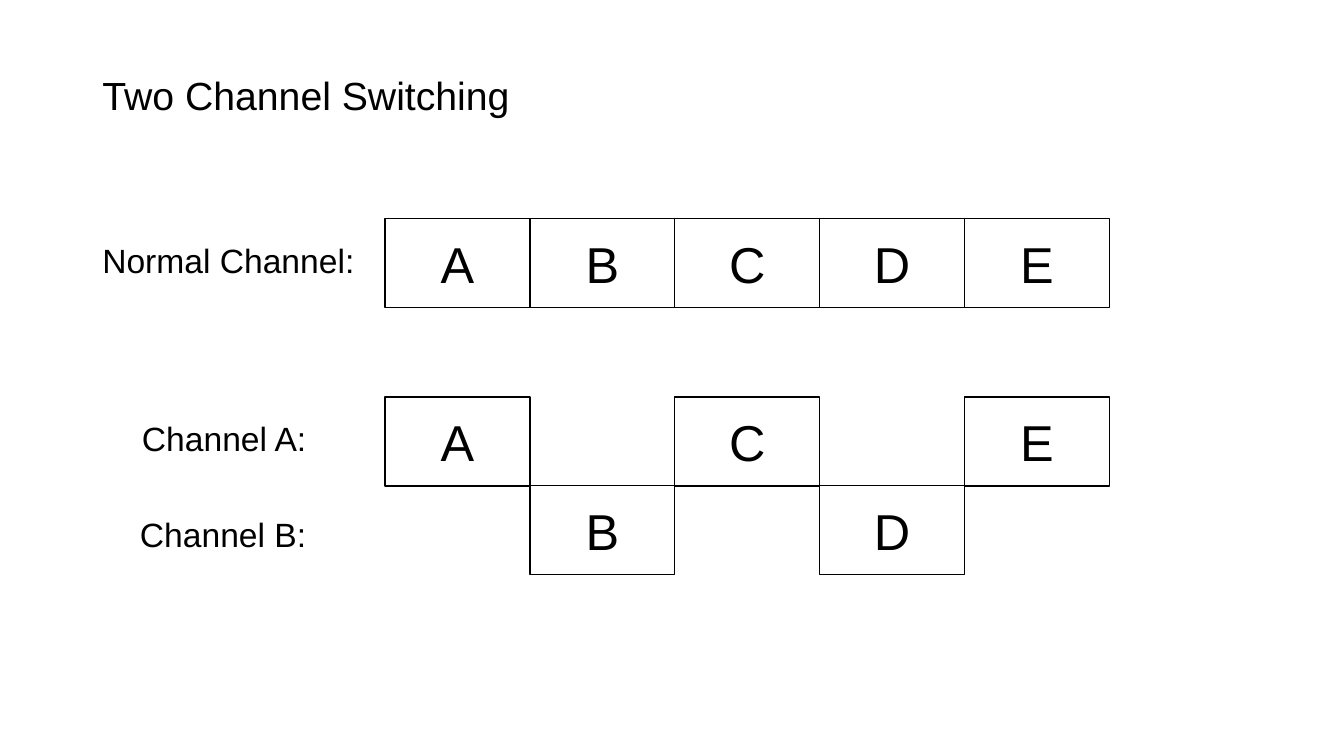
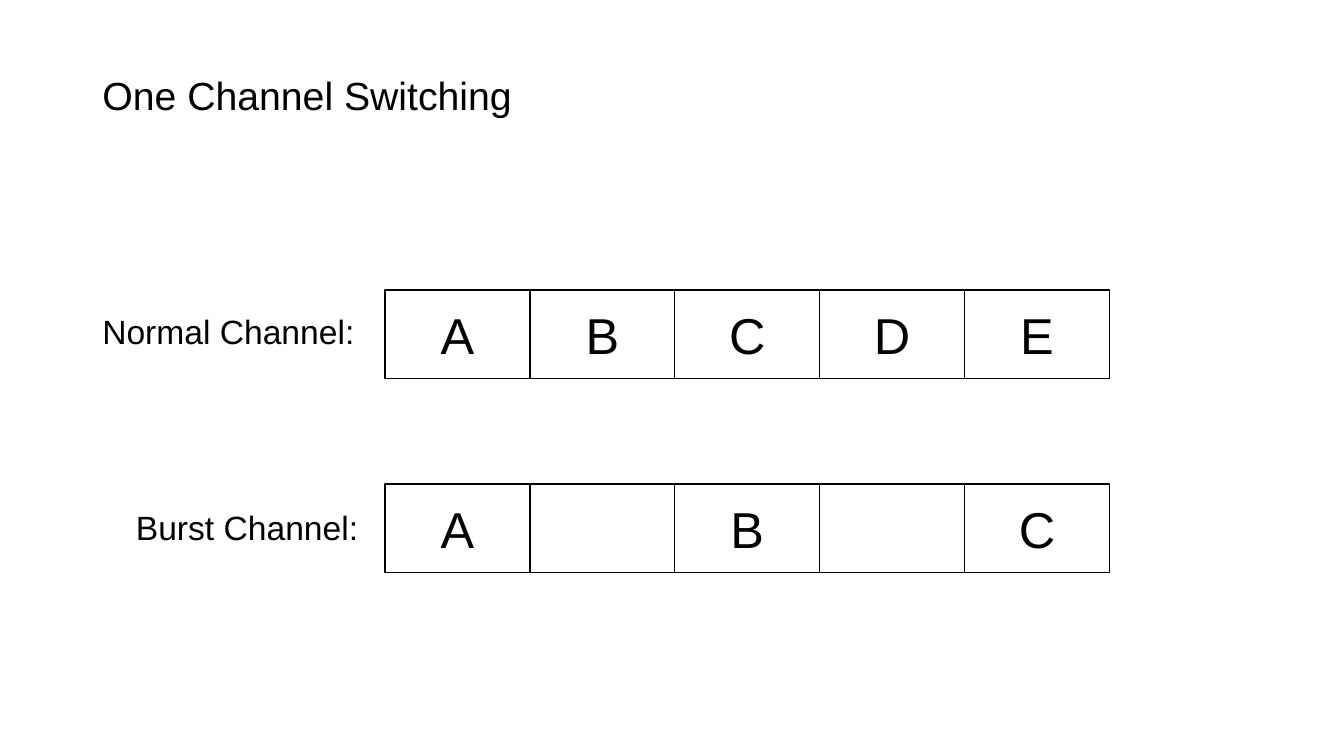
from dataclasses import dataclass

from pptx import Presentation
from pptx import util as u
from pptx.dml.color import RGBColor
from pptx.enum import shapes, text

Pt = u.Pt


@dataclass(frozen=True)
class Theme:
    """Colours, font, type sizes and cell measures shared by the slides."""
    ink: RGBColor = RGBColor(0, 0, 0)
    paper: RGBColor = RGBColor(255, 255, 255)
    font: str = "Arial"
    title: int = 28
    label: int = 24
    cell: int = 36
    line: float = 1
    cell_w: float = 103.5
    cell_h: float = 63.4


THEME = Theme()
TITLE_BOX = (66, 28.75, 828, 82)
ROW_LEFT = 275
LABEL_H = 36.3
NORMAL_LABEL = ("Normal Channel:", 66, 11.3, 196.6)

SLIDES = [
    ("Two Channel Switching", [
        (156.2, NORMAL_LABEL, "ABCDE"),
        (283.7, ("Channel A:", 94.3, 11.5, 133.2), ["A", None, "C", None, "E"]),
        (347, ("Channel B:", 92.9, 16.6, 134.6), [None, "B", None, "D", None]),
    ]),
    ("One Channel Switching", [
        (207, NORMAL_LABEL, "ABCDE"),
        (345.6, ("Burst Channel:", 90, 13, 175), ["A", "", "B", "", "C"]),
    ]),
]


def style_text(tf, words, size, align=text.PP_ALIGN.LEFT):
    """Set the words of a frame and format its single paragraph."""
    tf.text = words
    p = tf.paragraphs[0]
    p.alignment = align
    for r in p.runs:
        r.font.name = THEME.font
        r.font.size = Pt(size)
        r.font.color.rgb = THEME.ink


def add_title(s, words, box):
    """Move the title placeholder to the box and fill it."""
    sp = s.shapes.title
    sp.left, sp.top, sp.width, sp.height = map(Pt, box)
    tf = sp.text_frame
    tf.auto_size = text.MSO_AUTO_SIZE.NONE
    tf.vertical_anchor = text.MSO_ANCHOR.MIDDLE
    style_text(tf, words, THEME.title)
    tf.paragraphs[0].line_spacing = 0.9


def add_label(s, words, left, top, width):
    """Add the name of a channel as a one-line text box."""
    sp = s.shapes.add_textbox(Pt(left), Pt(top), Pt(width), Pt(LABEL_H))
    tf = sp.text_frame
    tf.word_wrap = False
    tf.auto_size = text.MSO_AUTO_SIZE.SHAPE_TO_FIT_TEXT
    style_text(tf, words, THEME.label)


def add_cell(s, words, left, top):
    """Add one outlined time slot."""
    sp = s.shapes.add_shape(shapes.MSO_SHAPE.RECTANGLE, Pt(left), Pt(top),
                            Pt(THEME.cell_w), Pt(THEME.cell_h))
    sp.shadow.inherit = False
    sp.fill.solid()
    sp.fill.fore_color.rgb = THEME.paper
    sp.line.color.rgb = THEME.ink
    sp.line.width = Pt(THEME.line)
    if words:
        sp.text_frame.vertical_anchor = text.MSO_ANCHOR.MIDDLE
        style_text(sp.text_frame, words, THEME.cell, text.PP_ALIGN.CENTER)


def add_channel(s, left, top, label, slots):
    """Add a labelled row of slots, leaving a gap where a slot is None."""
    words, label_left, drop, width = label
    add_label(s, words, label_left, top + drop, width)
    for i, slot in enumerate(slots):
        if slot is not None:
            add_cell(s, slot, left + i * THEME.cell_w, top)


def add_switching_slide(prs, title, channels):
    """Add a slide with a title and its channel rows."""
    s = prs.slides.add_slide(prs.slide_layouts[5])
    add_title(s, title, TITLE_BOX)
    for top, label, slots in channels:
        add_channel(s, ROW_LEFT, top, label, slots)


def main():
    """Build and save the presentation."""
    prs = Presentation()
    prs.slide_width, prs.slide_height = Pt(960), Pt(540)
    for title, channels in SLIDES:
        add_switching_slide(prs, title, channels)
    prs.save("out.pptx")


if __name__ == "__main__":
    main()
